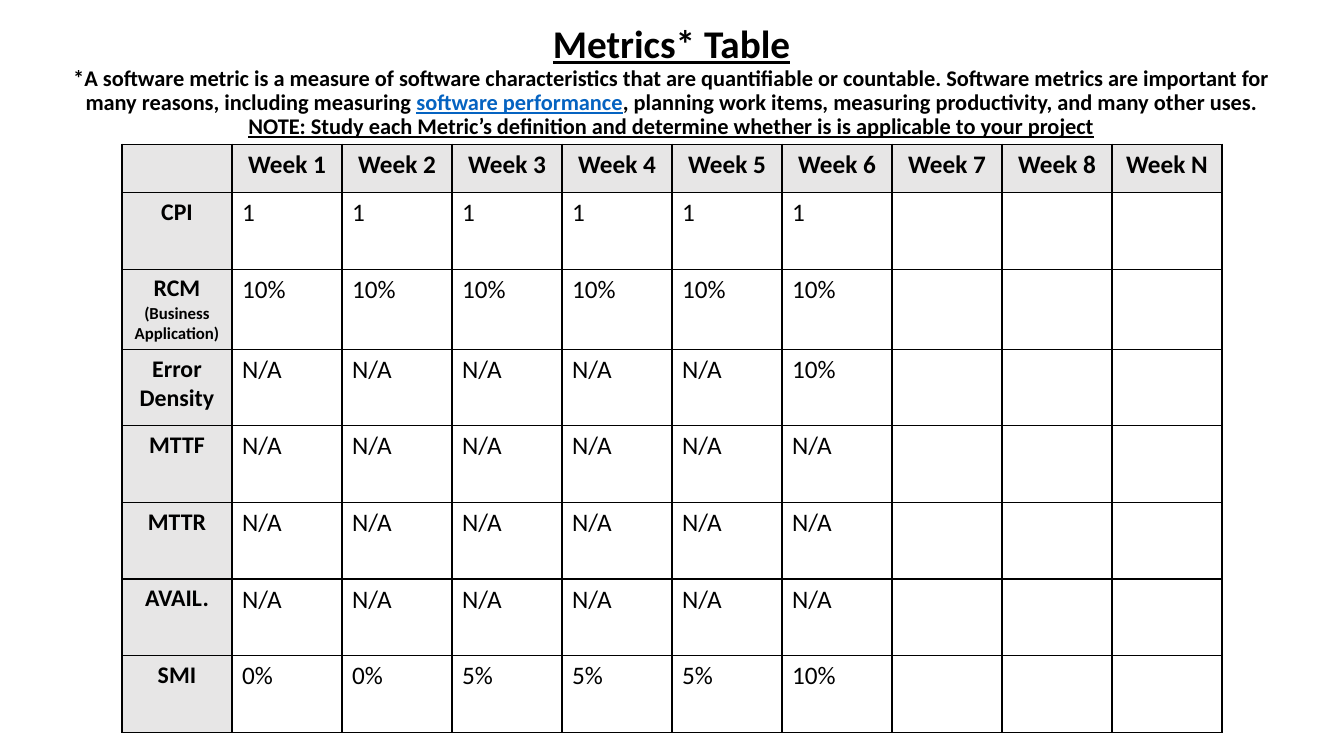
from lxml.etree import SubElement as Sub
from pptx import Presentation
from pptx.dml.color import RGBColor as RGB
from pptx.enum.text import MSO_ANCHOR as ANCHOR, MSO_AUTO_SIZE as FIT, PP_ALIGN as ALIGN
from pptx.oxml.ns import qn
from pptx.util import Inches, Pt

FONT = "Calibri"
COLORS = {"ink": "000000", "link": "0563C1", "head": "E7E6E6"}

# Each title line is a list of (text, size, color, underlined) runs.
TITLE = [
    [("Metrics* Table", 28, "ink", True)],
    [("*A software metric is a measure of software characteristics that are "
      "quantifiable or countable. Software metrics are important for many "
      "reasons, including measuring ", 16, "ink", False),
     ("software performance", 16, "link", True),
     (", planning work items, measuring productivity, and many other uses.",
      16, "ink", False)],
    [("NOTE: Study each Metric’s definition and determine whether is is "
      "applicable to your project", 16, "ink", True)],
]
WEEKS = [f"Week {n}" for n in [*range(1, 9), "N"]]
METRICS = [
    ("CPI", ["1"] * 6),
    ("RCM\n(Business Application)", ["10%"] * 6),
    ("Error Density", ["N/A"] * 5 + ["10%"]),
    ("MTTF", ["N/A"] * 6),
    ("MTTR", ["N/A"] * 6),
    ("AVAIL.", ["N/A"] * 6),
    ("SMI", ["0%"] * 2 + ["5%"] * 3 + ["10%"]),
]


def style(run, size, color="ink", bold=True, line=False):
    font = run.font
    font.name, font.size = FONT, Pt(size)
    font.bold, font.underline = bold, line
    font.color.rgb = RGB.from_string(COLORS[color])


def add_title(slide, box):
    title = slide.shapes.title
    title.left, title.top, title.width, title.height = map(Inches, box)
    frame = title.text_frame
    frame.word_wrap = True
    frame.auto_size = FIT.NONE
    frame.vertical_anchor = ANCHOR.MIDDLE
    for i, line in enumerate(TITLE):
        para = frame.add_paragraph() if i else frame.paragraphs[0]
        para.alignment = ALIGN.CENTER
        para.line_spacing = 0.9
        para.space_before = Pt(0)
        for text, size, color, under in line:
            run = para.add_run()
            run.text = text
            style(run, size, color, line=under)


def add_border(cell):
    props = cell._tc.get_or_add_tcPr()
    for side in "LRTB":
        line = Sub(props, qn(f"a:ln{side}"), w=str(Pt(1)))
        Sub(Sub(line, qn("a:solidFill")), qn("a:srgbClr"), val=COLORS["ink"])


def fill_cell(cell, text, sizes, head):
    """Write one cell; sizes gives the text size of each paragraph."""
    add_border(cell)
    if head:
        cell.fill.solid()
        cell.fill.fore_color.rgb = RGB.from_string(COLORS["head"])
    else:
        cell.fill.background()
    cell.text_frame.text = text
    for para, size in zip(cell.text_frame.paragraphs, sizes):
        para.alignment = ALIGN.CENTER if head else ALIGN.LEFT
        for run in para.runs:
            style(run, size, bold=head)


def add_metrics(slide, box, top_row=0.48):
    grid = [[""] + WEEKS]
    for name, values in METRICS:
        grid.append([name] + values + [""] * (len(WEEKS) - len(values)))
    rows, cols = len(grid), len(grid[0])
    table = slide.shapes.add_table(rows, cols, *map(Inches, box)).table
    table.horz_banding = table.first_row = False
    for col in table.columns:
        col.width = Inches(box[2] / cols)
    for r, texts in enumerate(grid):
        height = (box[3] - top_row) / (rows - 1) if r else top_row
        table.rows[r].height = Inches(height)
        for c, text in enumerate(texts):
            sizes = (17, 12) if r and not c else (18,)
            fill_cell(table.cell(r, c), text, sizes, head=not (r and c))


def main():
    deck = Presentation()
    deck.slide_width, deck.slide_height = Inches(13.33), Inches(7.5)
    slide = deck.slides.add_slide(deck.slide_layouts[5])
    add_title(slide, (0.44, 0.09, 12.44, 1.45))
    add_metrics(slide, (1.21, 1.43, 10.91, 5.8))
    deck.save("out.pptx")


if __name__ == "__main__":
    main()
